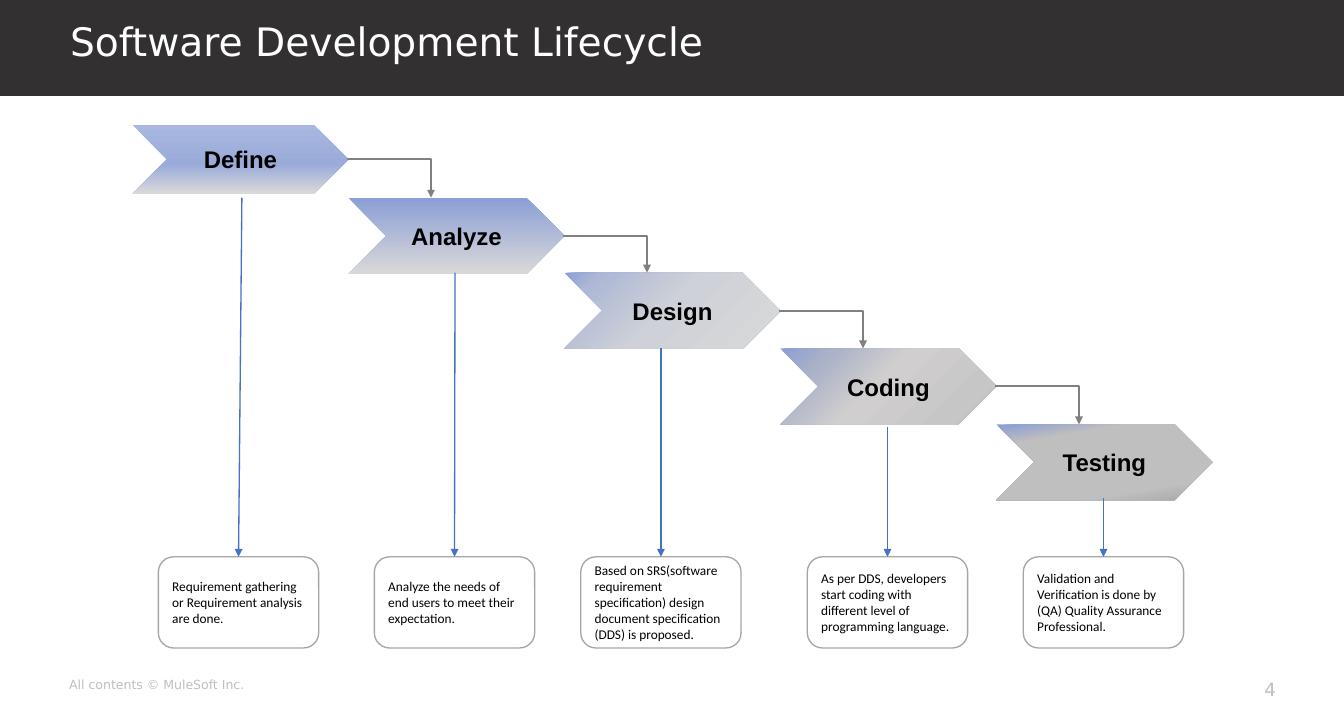
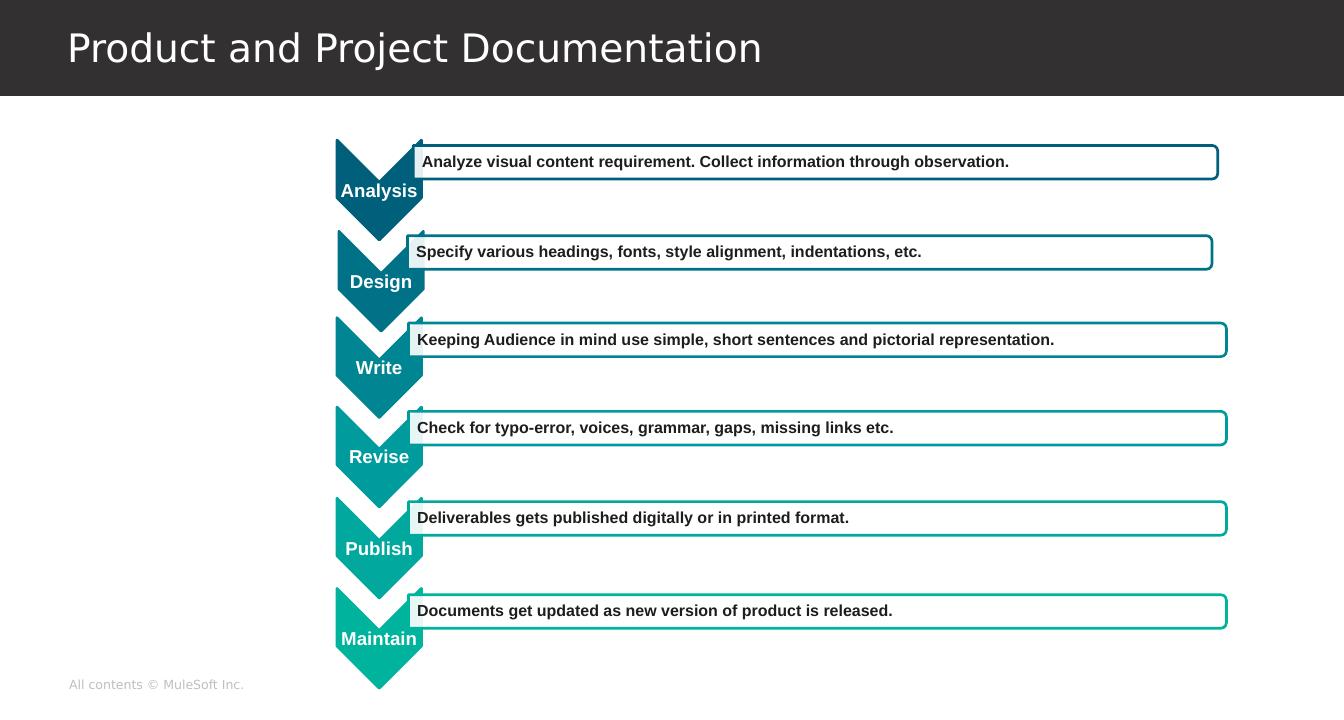
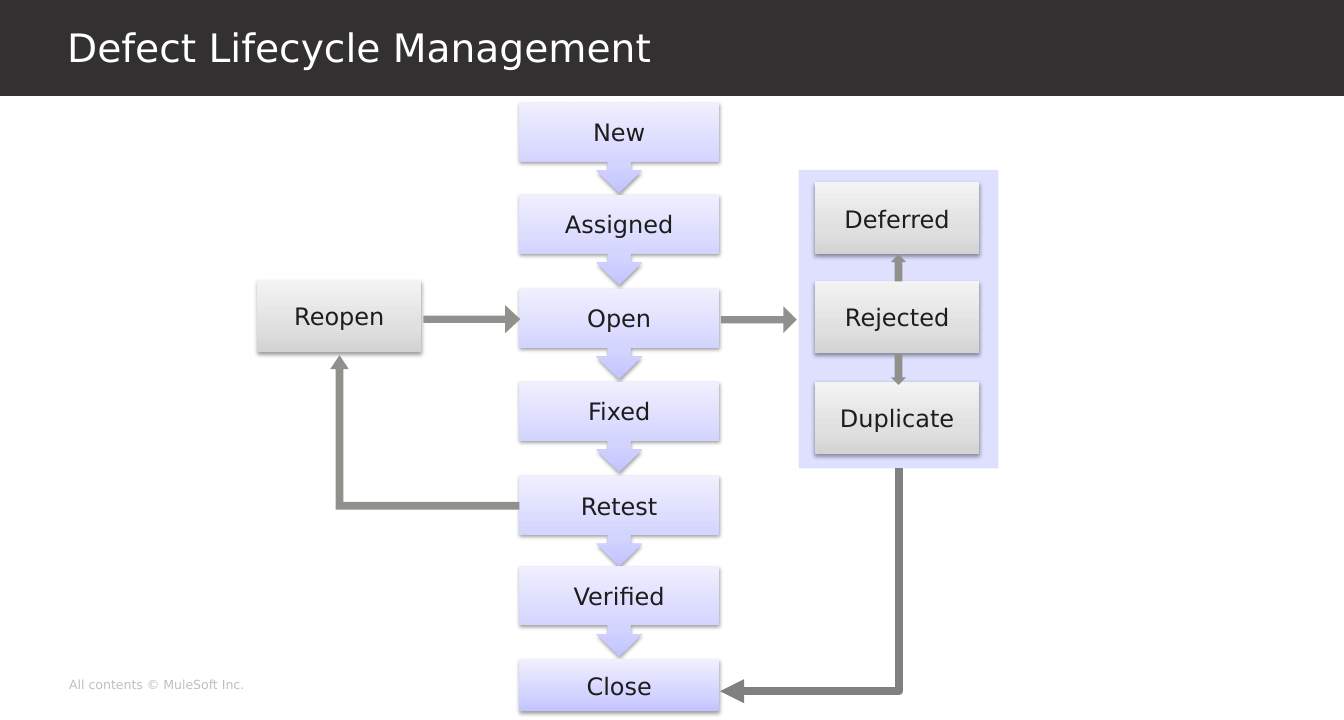
from dataclasses import dataclass
from typing import NamedTuple

from lxml import etree
from pptx import Presentation
from pptx.dml.color import RGBColor
from pptx.enum.shapes import MSO_CONNECTOR, MSO_SHAPE
from pptx.enum.text import MSO_ANCHOR, PP_ALIGN
from pptx.oxml.ns import qn
from pptx.util import Inches, Pt

RECT = MSO_SHAPE.RECTANGLE
ROUND = MSO_SHAPE.ROUNDED_RECTANGLE
CHEVRON = MSO_SHAPE.CHEVRON
BAR = MSO_SHAPE.ROUND_2_SAME_RECTANGLE
CALLOUT = MSO_SHAPE.DOWN_ARROW_CALLOUT
RIGHT_ARROW = MSO_SHAPE.RIGHT_ARROW
UP_ARROW = MSO_SHAPE.UP_ARROW
DOWN_ARROW = MSO_SHAPE.DOWN_ARROW
BENT_ARROW = MSO_SHAPE.BENT_UP_ARROW
STRAIGHT = MSO_CONNECTOR.STRAIGHT
ELBOW = MSO_CONNECTOR.ELBOW
MIDDLE = MSO_ANCHOR.MIDDLE
LEFT, CENTER, RIGHT = PP_ALIGN.LEFT, PP_ALIGN.CENTER, PP_ALIGN.RIGHT

# Every length is counted in cells of this grid.
WIDTH, HEIGHT = Inches(14), Inches(7.5)
COLS, ROWS = 140, 75
COL, ROW = WIDTH / COLS, HEIGHT / ROWS

SANS, ARIAL, CALIBRI = "DejaVu Sans", "Arial", "Calibri"
INK = {
    "band": "323031", "white": "FFFFFF", "black": "000000", "text": "1D1D1C",
    "foot": "BFBFBF", "blue": "4472C4", "wire": "808080", "edge": "A6A6A6",
    "arrow": "90908C", "panel": "DFE0FE",
    "sky": "A8B7DF", "mid sky": "9AABD9", "dusk": "8B9ED5",
    "haze": "AEB8D6", "mist": "CED1D7", "pale": "D9D9D9", "fog": "ABB2C8",
    "sand": "D0CECE", "stone": "C7C6C6", "rock": "AFABAB",
    "lilac": "C2C3FF", "mid lilac": "D4D5FF", "pale lilac": "EFEFFF",
    "gray": "D4D3D4", "mid gray": "E0E0E0", "pale gray": "F3F3F3",
    "teal 1": "00607C", "teal 2": "007287", "teal 3": "008692",
    "teal 4": "009B9D", "teal 5": "00A89E", "teal 6": "00B39C",
}


class Box(NamedTuple):
    x: float
    y: float
    w: float
    h: float


class Grade(NamedTuple):
    angle: int
    stops: tuple


@dataclass
class Phase:
    name: str
    top: float
    high: float
    fill: Grade
    drop: tuple
    note_x: float
    note: str


@dataclass
class Task:
    name: str
    mid_x: float
    mid_y: float
    bar_x: float
    bar_y: float
    bar_w: float
    text: str


@dataclass
class State:
    name: str
    box: Box
    fill: Grade
    kind: int = RECT


@dataclass
class Arrow:
    kind: int
    box: Box
    adjust: tuple = ()
    flip: bool = False


LILAC = Grade(270, ((0, "lilac"), (35, "mid lilac"), (100, "pale lilac")))
GRAY = Grade(270, ((0, "gray"), (35, "mid gray"), (100, "pale gray")))

PHASES = [
    Phase("Define", 13, 7.2,
          Grade(90, ((0, "sky"), (57, "mid sky"), (100, "pale"))),
          (25.2, 20.6), 16.5,
          "Requirement gathering or Requirement analysis are done."),
    Phase("Analyze", 20.6, 7.9, Grade(90, ((0, "dusk"), (100, "pale"))),
          (47.4, 28.4), 39,
          "Analyze the needs of end users to meet their expectation."),
    Phase("Design", 28.4, 7.9,
          Grade(45, ((0, "dusk"), (13, "haze"), (48, "mist"), (100, "pale"),
                     (100, "foot"))),
          (68.85, 36.3), 60.5,
          "Based on SRS(software requirement specification) design document "
          "specification (DDS) is proposed."),
    Phase("Coding", 36.3, 7.9,
          Grade(45, ((0, "dusk"), (19, "fog"), (45, "sand"), (85, "stone"),
                     (98, "rock"))),
          (92.45, 44.5), 84.1,
          "As per DDS, developers start coding with different level of "
          "programming language."),
    Phase("Testing", 44.2, 7.9,
          Grade(80, ((1, "dusk"), (20, "foot"), (80, "foot"), (100, "edge"))),
          (114.95, 51.9), 106.6,
          "Validation and Verification is done by (QA) Quality Assurance "
          "Professional."),
]

TASKS = [
    Task("Analysis", 39.5, 19.8, 43.05, 16.9, 83.8,
         "Analyze visual content requirement. Collect information through "
         "observation."),
    Task("Design", 39.7, 29.3, 42.45, 26.3, 83.8,
         "Specify various headings, fonts, style alignment, indentations, etc."),
    Task("Write", 39.5, 38.3, 42.55, 35.4, 85.2,
         "Keeping Audience in mind use simple, short sentences and pictorial "
         "representation."),
    Task("Revise", 39.5, 47.6, 42.55, 44.6, 85.2,
         "Check for typo-error, voices, grammar, gaps, missing links etc."),
    Task("Publish", 39.5, 57.1, 42.55, 54, 85.2,
         "Deliverables gets published digitally or in printed format."),
    Task("Maintain", 39.5, 66.5, 42.55, 63.7, 85.2,
         "Documents get updated as new version of product is released."),
]

FLOW = [("New", 10.7), ("Assigned", 20.3), ("Open", 30.1), ("Fixed", 39.8),
        ("Retest", 49.6), ("Verified", 59)]
SIDE = [("Deferred", 19), ("Rejected", 29.3), ("Duplicate", 39.8)]
STATES = [State(name, Box(54.1, y, 20.8, 9.4), LILAC, CALLOUT)
          for name, y in FLOW]
STATES += [State(name, Box(84.9, y, 17.1, 7.5), GRAY) for name, y in SIDE]
STATES += [State("Close", Box(54.1, 68.7, 20.8, 5.4), LILAC),
           State("Reopen", Box(26.8, 29.2, 17.1, 7.5), GRAY)]

ARROWS = [
    Arrow(RIGHT_ARROW, Box(75.1, 31.9, 7.9, 2.8), (0.27, 0.5)),
    Arrow(RIGHT_ARROW, Box(44.1, 31.8, 10.1, 2.9), (0.26, 0.54)),
    Arrow(BENT_ARROW, Box(34.4, 37, 19.7, 16.1), (0.05, 0.06, 0.09), True),
    Arrow(DOWN_ARROW, Box(92.8, 36.9, 1.6, 3.2)),
    Arrow(UP_ARROW, Box(92.8, 26.5, 1.6, 2.8)),
]


def rgb(name: str) -> RGBColor:
    return RGBColor.from_string(INK[name])


def place(box: Box) -> tuple:
    """Turn grid cells into slide units."""
    return (round(box.x * COL), round(box.y * ROW),
            round(box.w * COL), round(box.h * ROW))


def about(x: float, y: float, w: float, h: float) -> Box:
    """Give the box centred on a point."""
    return Box(x - w / 2, y - h / 2, w, h)


def add_tint(parent, name: str, alpha: int = 100) -> None:
    tint = etree.SubElement(parent, qn("a:srgbClr"), val=INK[name])
    if alpha < 100:
        etree.SubElement(tint, qn("a:alpha"), val=str(alpha * 1000))


def grade(shape, fill: Grade) -> None:
    """Fill a shape with a linear gradient."""
    shape.fill.gradient()
    node = shape.element.spPr.find(qn("a:gradFill"))
    stops = node.find(qn("a:gsLst"))
    for old in list(stops):
        stops.remove(old)
    for share, name in fill.stops:
        add_tint(etree.SubElement(stops, qn("a:gs"), pos=str(share * 1000)), name)
    node.find(qn("a:lin")).set("ang", str(fill.angle * 60000))


def shade(shape) -> None:
    """Cast a soft shadow straight down."""
    node = shape.element.spPr.find(qn("a:effectLst"))
    cast = etree.SubElement(node, qn("a:outerShdw"), blurRad="40000",
                            dist="20000", dir="5400000", rotWithShape="0")
    add_tint(cast, "black", 38)


def draw(slide, kind: int, box: Box, fill, edge: str = "", weight: float = 1,
         alpha: int = 100):
    shape = slide.shapes.add_shape(kind, *place(box))
    shape.shadow.inherit = False
    if isinstance(fill, Grade):
        grade(shape, fill)
    else:
        shape.fill.solid()
        shape.fill.fore_color.rgb = rgb(fill)
        if alpha < 100:
            tint = shape.element.spPr.find(qn("a:solidFill"))[0]
            etree.SubElement(tint, qn("a:alpha"), val=str(alpha * 1000))
    if edge:
        shape.line.color.rgb = rgb(edge)
        shape.line.width = Pt(weight)
    else:
        shape.line.fill.background()
    return shape


def write(shape, text: str, size: float, font: str = SANS, ink: str = "text",
          bold: bool = False, align=CENTER, space=None, pad=None) -> None:
    """Set a shape's text; pad is its left, top, right and bottom inset."""
    frame = shape.text_frame
    frame.word_wrap = True
    frame.vertical_anchor = MIDDLE
    if pad is not None:
        (frame.margin_left, frame.margin_top,
         frame.margin_right, frame.margin_bottom) = place(Box(*pad))
    para = frame.paragraphs[0]
    para.alignment = align
    if space:
        para.line_spacing = space
    run = para.add_run()
    run.text = text
    run.font.name, run.font.size, run.font.bold = font, Pt(size), bold
    run.font.color.rgb = rgb(ink)


def label(slide, box: Box, text: str, size: float, pad=(0, 0, 0, 0),
          **style) -> None:
    write(slide.shapes.add_textbox(*place(box)), text, size, pad=pad, **style)


def wire(slide, kind: int, start: tuple, end: tuple, ink: str, weight: float,
         tip: str = "tailEnd"):
    """Join two points; an elbow runs across first, then up or down."""
    ends = place(Box(*start, *end))
    line = slide.shapes.add_connector(kind, *ends)
    line.line.color.rgb = rgb(ink)
    line.line.width = Pt(weight)
    props = line.element.spPr
    etree.SubElement(props.find(qn("a:ln")), qn(f"a:{tip}"), type="triangle")
    etree.SubElement(props, qn("a:effectLst"))
    if kind == ELBOW:
        props.find(qn("a:prstGeom")).set("prst", "bentConnector2")
    return line


def start_slide(deck, title: str, box: Box = Box(7, 0, 108.9, 9.9)):
    """Add a slide with its band, footer and title."""
    slide = deck.slides.add_slide(deck.slide_layouts[6])
    draw(slide, RECT, Box(0, 0, COLS, 10), "band")
    label(slide, Box(7.2, 69.3, 38.9, 4), "All contents © MuleSoft Inc.", 9.4,
          ink="foot", align=LEFT)
    label(slide, box, title, 29.4, ink="white", align=LEFT, space=Pt(33.6))
    return slide


def show_phases(deck) -> None:
    slide = start_slide(deck, "Software Development Lifecycle",
                        Box(7.3, -0.3, 115.9, 9.4))
    label(slide, Box(125, 69.8, 7.9, 4), "4", 13.7, ink="foot", align=RIGHT)
    left, wide = 13.8, 22.5
    for i, phase in enumerate(PHASES):
        x = left + i * wide
        step = draw(slide, CHEVRON, Box(x, phase.top, wide, phase.high),
                    phase.fill)
        write(step, phase.name, 18, font=ARIAL, ink="black", bold=True)
        note = draw(slide, ROUND, Box(phase.note_x, 58, 16.7, 9.5), "white",
                    "edge")
        write(note, phase.note, 10, font=CALIBRI, ink="black", align=LEFT)
        foot = (phase.note_x + 8.35, 58)
        drop = wire(slide, STRAIGHT, phase.drop, foot, "blue", 1)
        drop.end_connect(note, 0)
    for i, (phase, after) in enumerate(zip(PHASES, PHASES[1:]), 1):
        x = left + i * wide
        wire(slide, ELBOW, (x - 0.2, phase.top + phase.high / 2),
             (x + 8.6, after.top), "wire", 1.5)


def show_tasks(deck) -> None:
    slide = start_slide(deck, "Product and Project Documentation")
    thin = 0.1
    for i, task in enumerate(TASKS, 1):
        teal = f"teal {i}"
        mark = draw(slide, CHEVRON, about(task.mid_x, task.mid_y, 10.4, 8.8),
                    teal, teal, 2)
        mid = task.bar_x + task.bar_w / 2
        bar = draw(slide, BAR, about(mid, task.bar_y, 3.5, task.bar_w),
                   "white", teal, 2, 90)
        mark.rotation = bar.rotation = 90
        label(slide, about(task.mid_x, task.mid_y + 0.1, 8.8, 1.6), task.name,
              14, pad=(thin,) * 4, font=ARIAL, ink="white", bold=True,
              space=0.9)
        label(slide, about(mid, task.bar_y, task.bar_w, 3.1), task.text, 12,
              pad=(0.9, thin, thin, thin), font=ARIAL, bold=True, align=LEFT,
              space=0.9)


def show_states(deck) -> None:
    slide = start_slide(deck, "Defect Lifecycle Management")
    draw(slide, RECT, Box(83.2, 17.7, 20.8, 31.1), "panel")
    for state in STATES:
        shape = draw(slide, state.kind, state.box, state.fill)
        shade(shape)
        write(shape, state.name, 18)
    for arrow in ARROWS:
        shape = draw(slide, arrow.kind, arrow.box, "arrow")
        for i, share in enumerate(arrow.adjust):
            shape.adjustments[i] = share
        if arrow.flip:
            shape.element.spPr.find(qn("a:xfrm")).set("flipH", "1")
    wire(slide, ELBOW, (75, 72), (93.7, 48.8), "wire", 6, "headEnd")


def main() -> None:
    deck = Presentation()
    deck.slide_width, deck.slide_height = WIDTH, HEIGHT
    show_phases(deck)
    show_tasks(deck)
    show_states(deck)
    deck.save("out.pptx")


if __name__ == "__main__":
    main()
